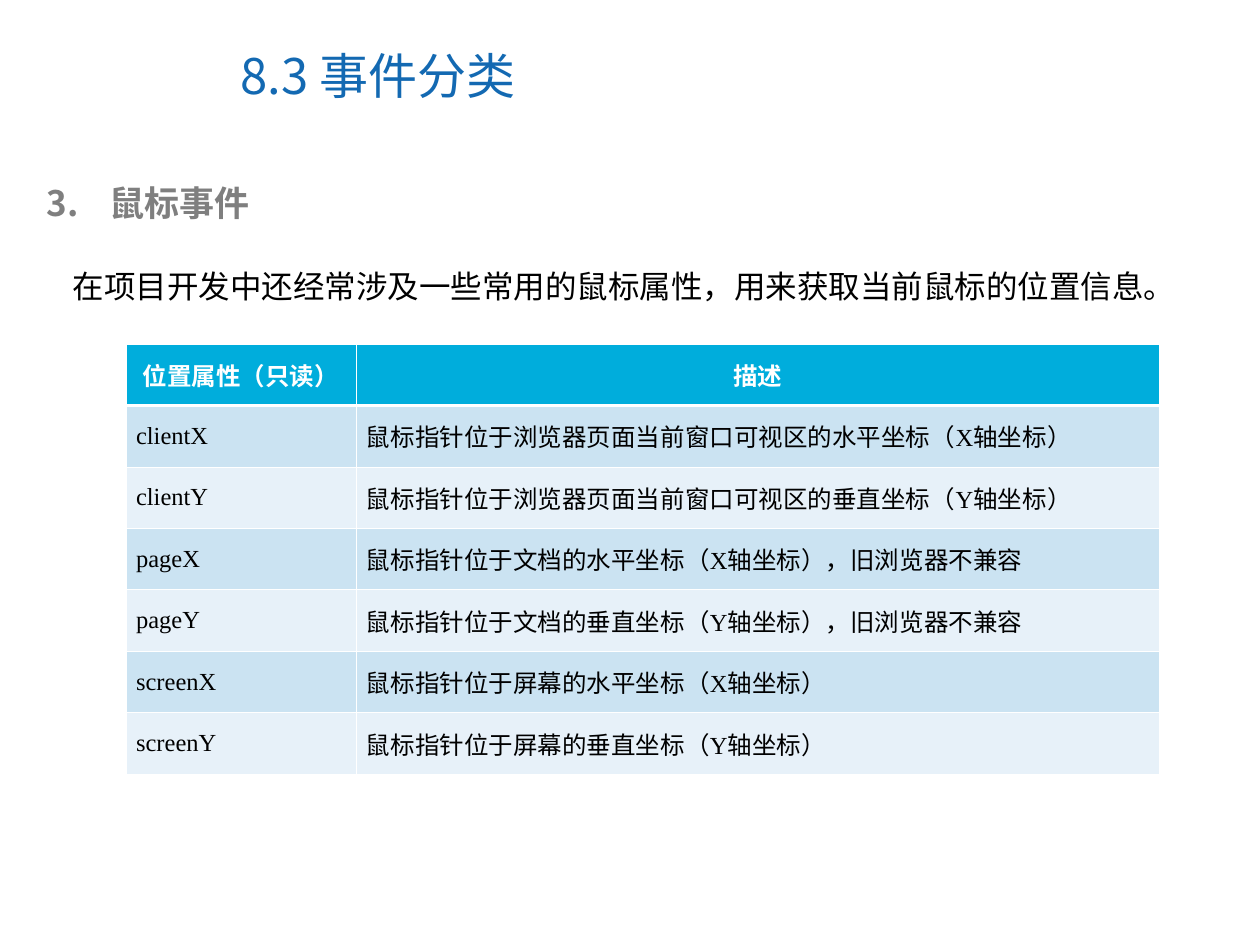
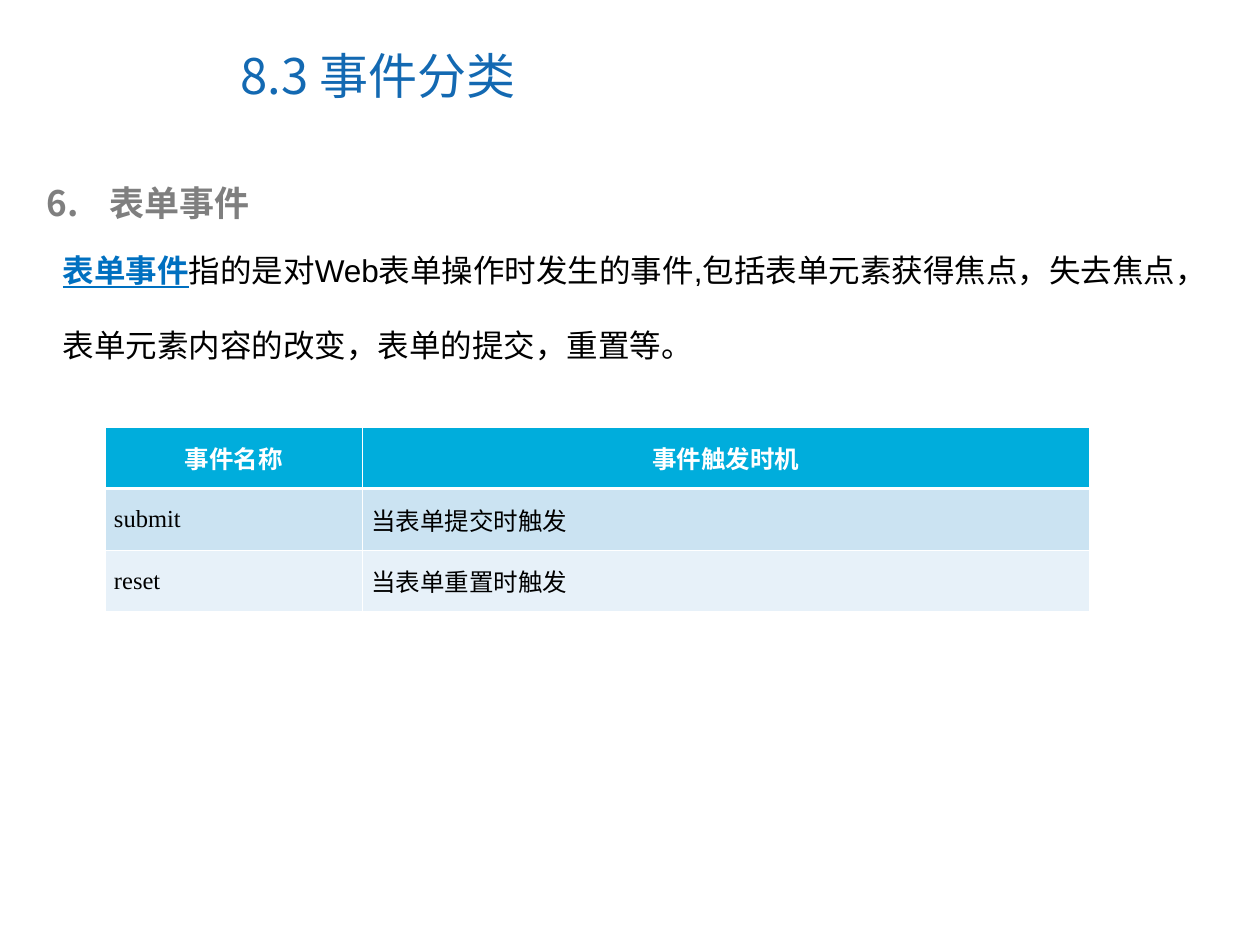
from pptx import Presentation
from pptx.dml.color import RGBColor
from pptx.enum.text import MSO_ANCHOR, MSO_AUTO_SIZE, PP_ALIGN
from pptx.oxml.ns import qn
from pptx.util import Inches, Pt
from lxml import etree

MIDDLE = MSO_ANCHOR.MIDDLE
LEFT, CENTER = PP_ALIGN.LEFT, PP_ALIGN.CENTER
NO_FIT, GROW = MSO_AUTO_SIZE.NONE, MSO_AUTO_SIZE.SHAPE_TO_FIT_TEXT

WHITE = RGBColor(0xFF, 0xFF, 0xFF)
BLACK = RGBColor(0, 0, 0)
GRAY = RGBColor(0x7F, 0x7F, 0x7F)
NAVY = RGBColor(0x13, 0x69, 0xB2)
BLUE = RGBColor(0x00, 0x70, 0xC0)
CYAN = RGBColor(0x00, 0xAD, 0xDC)
BANDS = [RGBColor(0xE7, 0xF1, 0xF9), RGBColor(0xCB, 0xE3, 0xF2)]

SANS, ARIAL, SERIF = "Noto Sans CJK SC", "Arial", "Times New Roman"
WIDTH, HEIGHT = Inches(10), Inches(7.5)
COL, ROW = WIDTH / 100, HEIGHT / 75
THIN, THICK = Pt(0.45), Pt(1.47)

TITLE_BOX = (18.1, 1.7, 51.6, 8.5)
HEAD_BOX = (2.7, 13.9, 92.2, 4.4)
LINE = 4.88

MOUSE = [
    ("位置属性（只读）", "描述"),
    ("clientX", "鼠标指针位于浏览器页面当前窗口可视区的水平坐标（X轴坐标）"),
    ("clientY", "鼠标指针位于浏览器页面当前窗口可视区的垂直坐标（Y轴坐标）"),
    ("pageX", "鼠标指针位于文档的水平坐标（X轴坐标），旧浏览器不兼容"),
    ("pageY", "鼠标指针位于文档的垂直坐标（Y轴坐标），旧浏览器不兼容"),
    ("screenX", "鼠标指针位于屏幕的水平坐标（X轴坐标）"),
    ("screenY", "鼠标指针位于屏幕的垂直坐标（Y轴坐标）"),
]
FORM = [
    ("事件名称", "事件触发时机"),
    ("submit", "当表单提交时触发"),
    ("reset", "当表单重置时触发"),
]


def place(box):
    """Turn grid columns and rows into slide lengths."""
    left, top, width, height = box
    return [round(n) for n in (left * COL, top * ROW, width * COL, height * ROW)]


def style(run, size, face, color, bold=False):
    font = run.font
    font.size, font.name, font.bold = Pt(size), face, bold
    font.color.rgb = color
    east = etree.SubElement(font._element, qn("a:ea"))
    east.set("typeface", SANS)


def add_title(slide, box):
    title = slide.shapes.title
    title.left, title.top, title.width, title.height = place(box)
    frame = title.text_frame
    frame.text = "8.3 事件分类"
    frame.auto_size, frame.vertical_anchor = NO_FIT, MIDDLE
    para = frame.paragraphs[0]
    para.alignment = LEFT
    style(para.runs[0], 28, SANS, NAVY)


def add_text(slide, box):
    """Add a wrapping text box and return its first paragraph."""
    frame = slide.shapes.add_textbox(*place(box)).text_frame
    frame.word_wrap, frame.auto_size = True, GROW
    return frame.paragraphs[0]


def add_head(slide, box, text, start):
    para = add_text(slide, box)
    para.text = text
    props = para._p.get_or_add_pPr()
    indent = Inches(0.5)
    props.set("marL", str(indent))
    props.set("indent", str(-indent))
    tint = etree.SubElement(props, qn("a:buClr"))
    etree.SubElement(tint, qn("a:srgbClr")).set("val", str(GRAY))
    etree.SubElement(props, qn("a:buFont")).set("typeface", SANS)
    number = etree.SubElement(props, qn("a:buAutoNum"))
    number.set("type", "arabicPeriod")
    number.set("startAt", str(start))
    style(para.runs[0], 20, SANS, GRAY, True)


def add_body(slide, box, text, term="", spacing=None):
    """Add body text, led by an underlined term if one is given."""
    para = add_text(slide, box)
    para.line_spacing = spacing
    if term:
        lead = para.add_run()
        lead.text = term
        style(lead, 18, ARIAL, BLUE, True)
        lead.font.underline = True
    rest = para.add_run()
    rest.text = text
    style(rest, 18, ARIAL, BLACK)


def add_rules(cell, row):
    """Draw white cell borders, thick between the header and the body."""
    props = cell._tc.get_or_add_tcPr()
    thick = {0: "B", 1: "T"}.get(row)
    for side in "LRTB":
        line = etree.SubElement(props, qn(f"a:ln{side}"))
        line.set("w", str(THICK if side == thick else THIN))
        fill = etree.SubElement(line, qn("a:solidFill"))
        etree.SubElement(fill, qn("a:srgbClr")).set("val", str(WHITE))


def fill_cell(cell, row, text, pad):
    head = row == 0
    add_rules(cell, row)
    cell.fill.solid()
    cell.fill.fore_color.rgb = CYAN if head else BANDS[row % 2]
    cell.vertical_anchor = MIDDLE
    cell.margin_left = cell.margin_right = Inches(pad)
    cell.text = text
    para = cell.text_frame.paragraphs[0]
    para.alignment = CENTER if head else LEFT
    face, color = (SANS, WHITE) if head else (SERIF, BLACK)
    style(para.runs[0], 14, face, color, head)


def add_grid(slide, left, top, cols, rows, pad):
    box = (left, top, sum(cols), LINE * len(rows))
    table = slide.shapes.add_table(len(rows), len(cols), *place(box)).table
    for column, width in zip(table.columns, cols):
        column.width = round(width * COL)
    for r, texts in enumerate(rows):
        for c, text in enumerate(texts):
            fill_cell(table.cell(r, c), r, text, pad)


def add_slide(deck, head, start):
    slide = deck.slides.add_slide(deck.slide_layouts[5])
    add_title(slide, TITLE_BOX)
    add_head(slide, HEAD_BOX, head, start)
    return slide


def mouse_slide(deck):
    slide = add_slide(deck, "鼠标事件", 3)
    add_grid(slide, 10, 27.3, (18.25, 63.8), MOUSE, 0.08)
    add_body(slide, (4.8, 20.7, 91, 4),
             "在项目开发中还经常涉及一些常用的鼠标属性，用来获取当前鼠标的位置信息。")


def form_slide(deck):
    slide = add_slide(deck, "表单事件", 6)
    add_body(slide, (4, 16.4, 91.9, 13),
             "指的是对Web表单操作时发生的事件,包括表单元素获得焦点，失去焦点，"
             "表单元素内容的改变，表单的提交，重置等。", "表单事件", 2.0)
    add_grid(slide, 8.35, 33.9, (20.4, 57.7), FORM, 0.07)


def main():
    deck = Presentation()
    deck.slide_width, deck.slide_height = WIDTH, HEIGHT
    mouse_slide(deck)
    form_slide(deck)
    deck.save("out.pptx")


if __name__ == "__main__":
    main()
